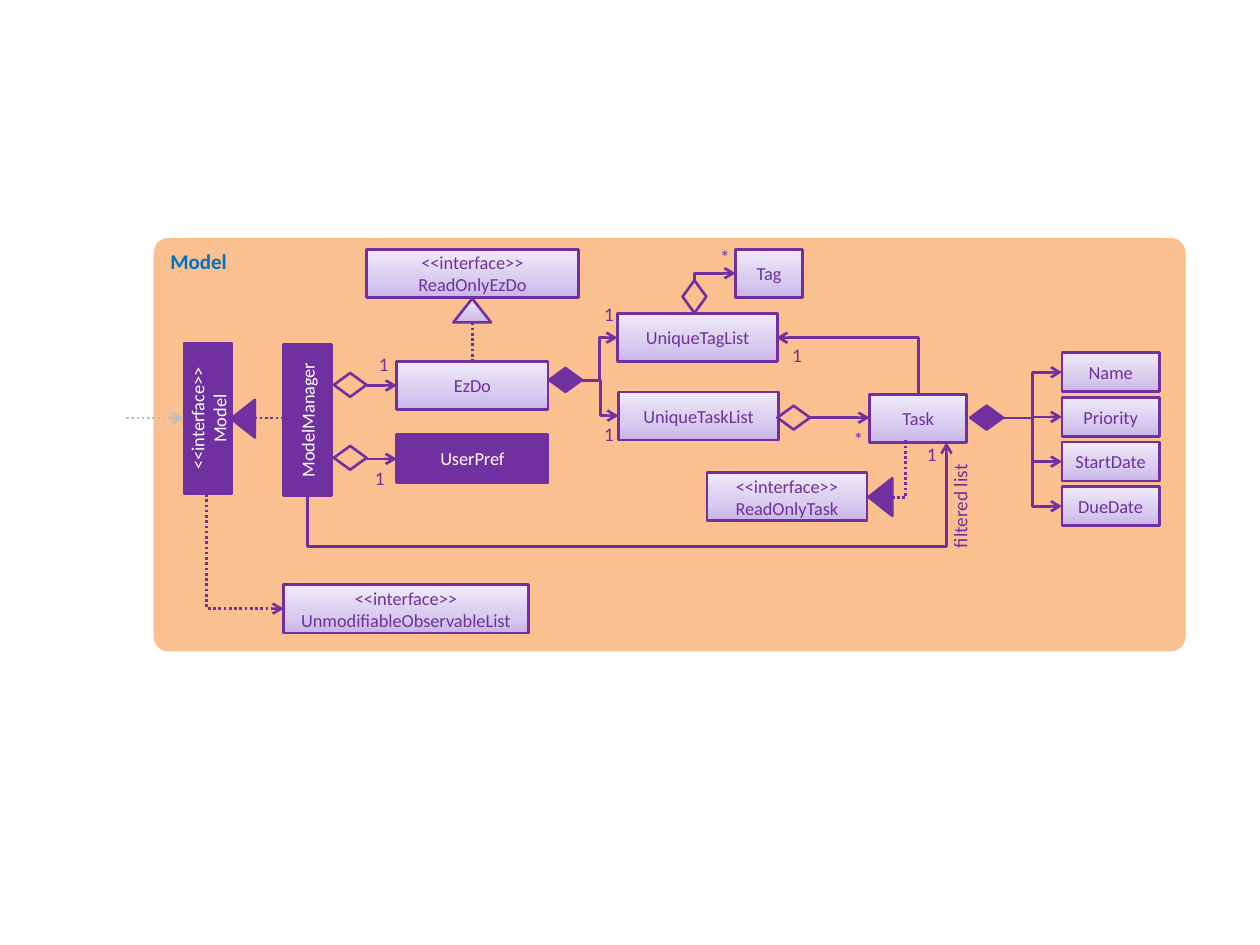
from copy import deepcopy

from lxml.etree import SubElement
from pptx import Presentation
from pptx.dml.color import RGBColor
from pptx.enum.dml import MSO_LINE
from pptx.enum.shapes import MSO_CONNECTOR, MSO_SHAPE
from pptx.enum.text import MSO_ANCHOR, PP_ALIGN
from pptx.oxml.ns import qn
from pptx.util import Cm, Pt

COLORS = {
    "panel": "FAC090",
    "heading": "0070C0",
    "purple": "7030A0",
    "white": "FFFFFF",
    "grey": "BFBFBF",
    "lilac dark": "C9B5E8",
    "lilac": "D8CBEE",
    "lilac light": "F0EAF9",
}
GRADIENT = [(0, "lilac dark"), (0.35, "lilac"), (1, "lilac light")]


def write_text(shape, text, size, color, align=PP_ALIGN.CENTER, bold=False, inset=0):
    frame = shape.text_frame
    frame.word_wrap = True
    frame.margin_left = frame.margin_right = Cm(inset)
    frame.margin_top = frame.margin_bottom = Cm(inset / 2)
    for number, paragraph_text in enumerate(text.split("\n")):
        para = frame.add_paragraph() if number else frame.paragraphs[0]
        para.alignment = align
        for piece, words in enumerate(paragraph_text.split("\v")):
            if piece:
                para.add_line_break()
            span = para.add_run()
            span.text = words
            span.font.name = "Calibri"
            span.font.size = Pt(size)
            span.font.bold = bold
            span.font.color.rgb = RGBColor.from_string(COLORS[color])


def add_part(kind, left, top, width, height, fill, rotation=0):
    part = page.shapes.add_shape(kind, Cm(left), Cm(top), Cm(width), Cm(height))
    part.rotation = rotation
    part.shadow.inherit = False
    part.line.color.rgb = RGBColor.from_string(COLORS["purple"])
    part.line.width = Pt(1.5)
    if fill == "gradient":
        part.fill.gradient()
        part.fill.gradient_angle = 90
        stop_list = part._element.spPr.find(qn("a:gradFill")).find(qn("a:gsLst"))
        stop_list.insert(1, deepcopy(stop_list[0]))
        for stop, (position, color) in zip(part.fill.gradient_stops, GRADIENT):
            stop.position = position
            stop.color.rgb = RGBColor.from_string(COLORS[color])
    elif fill:
        part.fill.solid()
        part.fill.fore_color.rgb = RGBColor.from_string(COLORS[fill])
    else:
        part.fill.background()
    return part


deck = Presentation()
deck.slide_width = Cm(25.4)
deck.slide_height = Cm(19.05)
page = deck.slides.add_slide(deck.slide_layouts[6])

panel = add_part(MSO_SHAPE.ROUNDED_RECTANGLE, 3.1, 4.8, 20.8, 8.33, "panel")
panel.adjustments[0] = 0.035
panel.line.fill.background()
panel.text_frame.vertical_anchor = MSO_ANCHOR.TOP
write_text(panel, "Model", 12, "heading", PP_ALIGN.LEFT, True, 0.25)

box_height = 0.97
attribute_left, attribute_top, attribute_height, attribute_step = 21.41, 7.11, 0.79, 0.9
attributes = ["Name", "Priority", "StartDate", "DueDate"]

boxes = [
    ("UserPref", 8, 8.76, 3.05, box_height, "purple", 0),
    ("ModelManager", 4.67, 7.98, 3.05, box_height, "purple", 270),
    ("<<interface>>\nModel", 2.67, 7.95, 3.05, box_height, "purple", 270),
    ("EzDo", 8, 7.29, 3.05, box_height, "gradient", 0),
    ("UniqueTaskList", 12.47, 7.9, 3.23, box_height, "gradient", 0),
    ("UniqueTagList", 12.45, 6.32, 3.23, box_height, "gradient", 0),
    ("Task", 17.53, 7.95, 1.96, box_height, "gradient", 0),
    ("Tag", 14.83, 5.03, 1.35, box_height, "gradient", 0),
    ("<<interface>>\vReadOnlyTask", 14.25, 9.53, 3.23, box_height, "gradient", 0),
    ("<<interface>>\vReadOnlyEzDo", 7.39, 5.03, 4.27, box_height, "gradient", 0),
    ("<<interface>>\vUnmodifiableObservableList", 5.72, 11.79, 4.93, box_height, "gradient", 0),
]
for row, name in enumerate(attributes):
    top = attribute_top + row * attribute_step
    boxes.append((name, attribute_left, top, 1.96, attribute_height, "gradient", 0))

for text, left, top, width, height, fill, rotation in boxes:
    box = add_part(MSO_SHAPE.RECTANGLE, left, top, width, height, fill, rotation)
    box.text_frame.vertical_anchor = MSO_ANCHOR.MIDDLE
    write_text(box, text, 10.5, "white" if fill == "purple" else "purple")

for left, top, fill, rotation in [
    (4.52, 8.2, "purple", 270),
    (17.37, 9.78, "purple", 270),
    (9.14, 6.02, "gradient", 0),
]:
    add_part(MSO_SHAPE.ISOSCELES_TRIANGLE, left, top, 0.76, 0.48, fill, rotation)

for left, top, fill, rotation in [
    (6.73, 8.99, None, 0),
    (6.73, 7.52, None, 0),
    (11.07, 7.42, "purple", 0),
    (15.67, 8.18, None, 0),
    (13.67, 5.74, None, 270),
    (19.56, 8.18, "purple", 0),
]:
    add_part(MSO_SHAPE.FLOWCHART_DECISION, left, top, 0.66, 0.48, fill, rotation)

links = [
    ("line", (2.54, 8.43), (3.7, 8.43), 0, "grey", True, True),
    ("line", (5.13, 8.43), (5.74, 8.43), 0, "purple", True, False),
    ("line", (9.53, 6.5), (9.53, 7.3), 0, "purple", True, False),
    ("line", (7.39, 9.25), (8, 9.25), 0, "purple", False, True),
    ("line", (7.39, 7.77), (8, 7.77), 0, "purple", False, True),
    ("line", (16.33, 8.42), (17.53, 8.42), 0, "purple", False, True),
    ("bentConnector3", (11.73, 7.67), (12.47, 8.38), 0, "purple", False, True),
    ("bentConnector3", (11.73, 7.67), (12.45, 6.81), 0, "purple", False, True),
    ("bentConnector2", (17.98, 10.03), (18.26, 8.86), 0, "purple", True, False),
    ("bentConnector2", (14, 5.66), (14.83, 5.51), 90, "purple", False, True),
    ("bentConnector2", (4.17, 9.96), (5.72, 12.27), 270, "purple", True, True),
    ("bentConnector2", (18.52, 7.95), (15.65, 6.81), 270, "purple", False, True),
    ("bentConnector4", (6.2, 9.96), (19.08, 8.92), 90, "purple", False, True),
]
for row in range(len(attributes)):
    middle = attribute_top + row * attribute_step + attribute_height / 2
    links.append(("bentConnector3", (20.22, 8.43), (attribute_left, middle), 0, "purple", False, True))

for preset, begin, end, turn, color, dotted, arrow in links:
    center_x, center_y = (begin[0] + end[0]) / 2, (begin[1] + end[1]) / 2
    if turn:
        sign = 1 if turn == 90 else -1
        begin, end = [
            (center_x + sign * (y - center_y), center_y - sign * (x - center_x))
            for x, y in (begin, end)
        ]
    kind = MSO_CONNECTOR.STRAIGHT if preset == "line" else MSO_CONNECTOR.ELBOW
    link = page.shapes.add_connector(kind, Cm(begin[0]), Cm(begin[1]), Cm(end[0]), Cm(end[1]))
    link.line.color.rgb = RGBColor.from_string(COLORS[color])
    link.line.width = Pt(1.5)
    if dotted:
        link.line.dash_style = MSO_LINE.ROUND_DOT
    properties = link._element.spPr
    geometry = properties.find(qn("a:prstGeom"))
    geometry.set("prst", preset)
    if turn:
        properties.find(qn("a:xfrm")).set("rot", str(turn * 60000))
    if preset == "bentConnector4":
        for name, value in [("adj1", -101800), ("adj2", 100000)]:
            SubElement(geometry.find(qn("a:avLst")), qn("a:gd"), name=name, fmla=f"val {value}")
    if arrow:
        SubElement(properties.find(qn("a:ln")), qn("a:tailEnd"), type="arrow")
    SubElement(properties, qn("a:effectLst"))

for text, left, top in [
    ("1", 12.01, 6.1),
    ("1", 12.01, 8.51),
    ("1", 15.8, 6.93),
    ("*", 14.35, 4.95),
    ("*", 17.04, 8.61),
    ("1", 7.47, 7.11),
    ("1", 7.39, 9.4),
    ("1", 18.52, 8.92),
]:
    label = page.shapes.add_textbox(Cm(left), Cm(top), Cm(0.53), Cm(0.51))
    write_text(label, text, 11, "purple")

list_label = page.shapes.add_textbox(Cm(18.14), Cm(9.96), Cm(2.44), Cm(0.74))
list_label.rotation = 270
write_text(list_label, "filtered list", 11, "purple", PP_ALIGN.RIGHT, inset=0.25)

deck.save("out.pptx")
